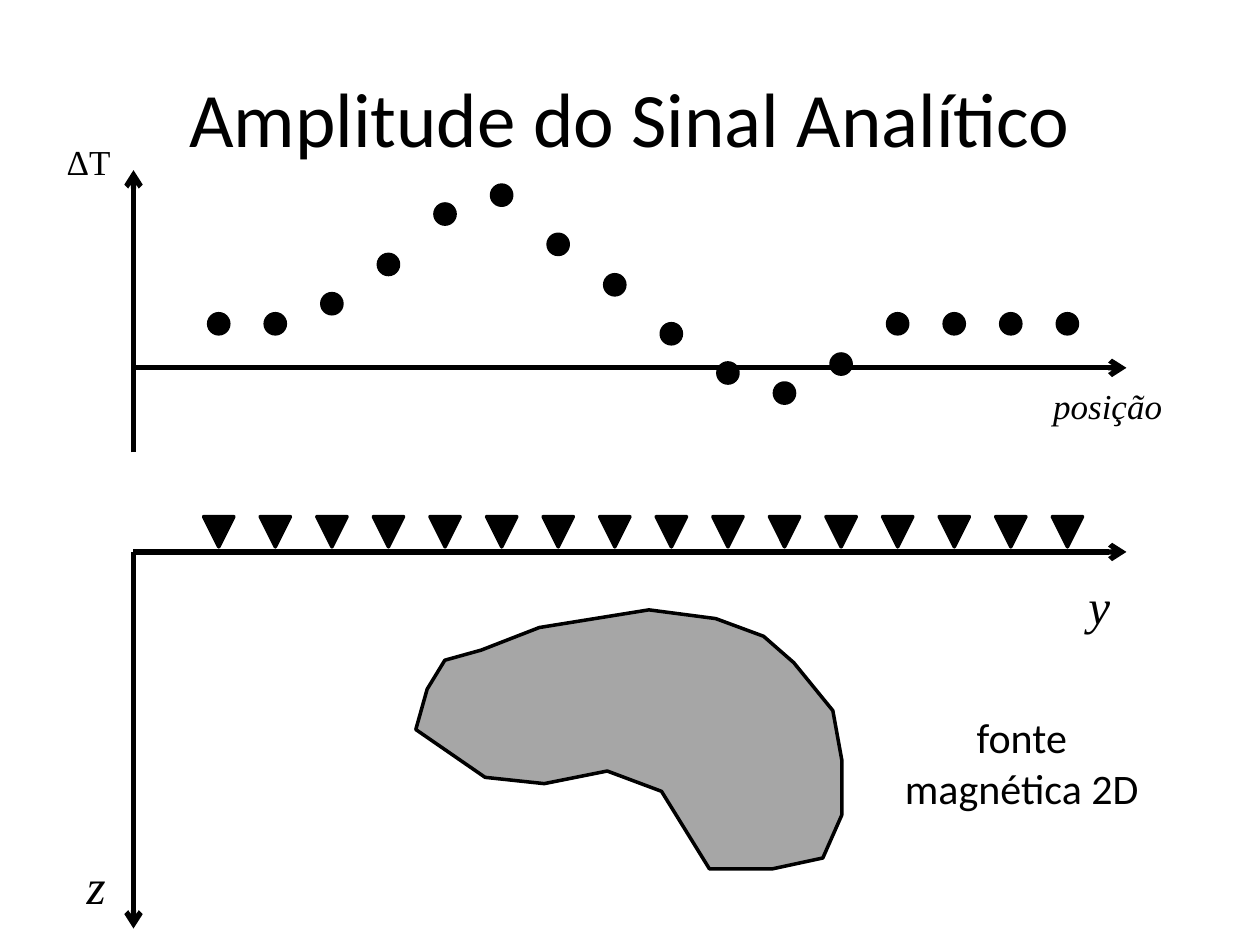
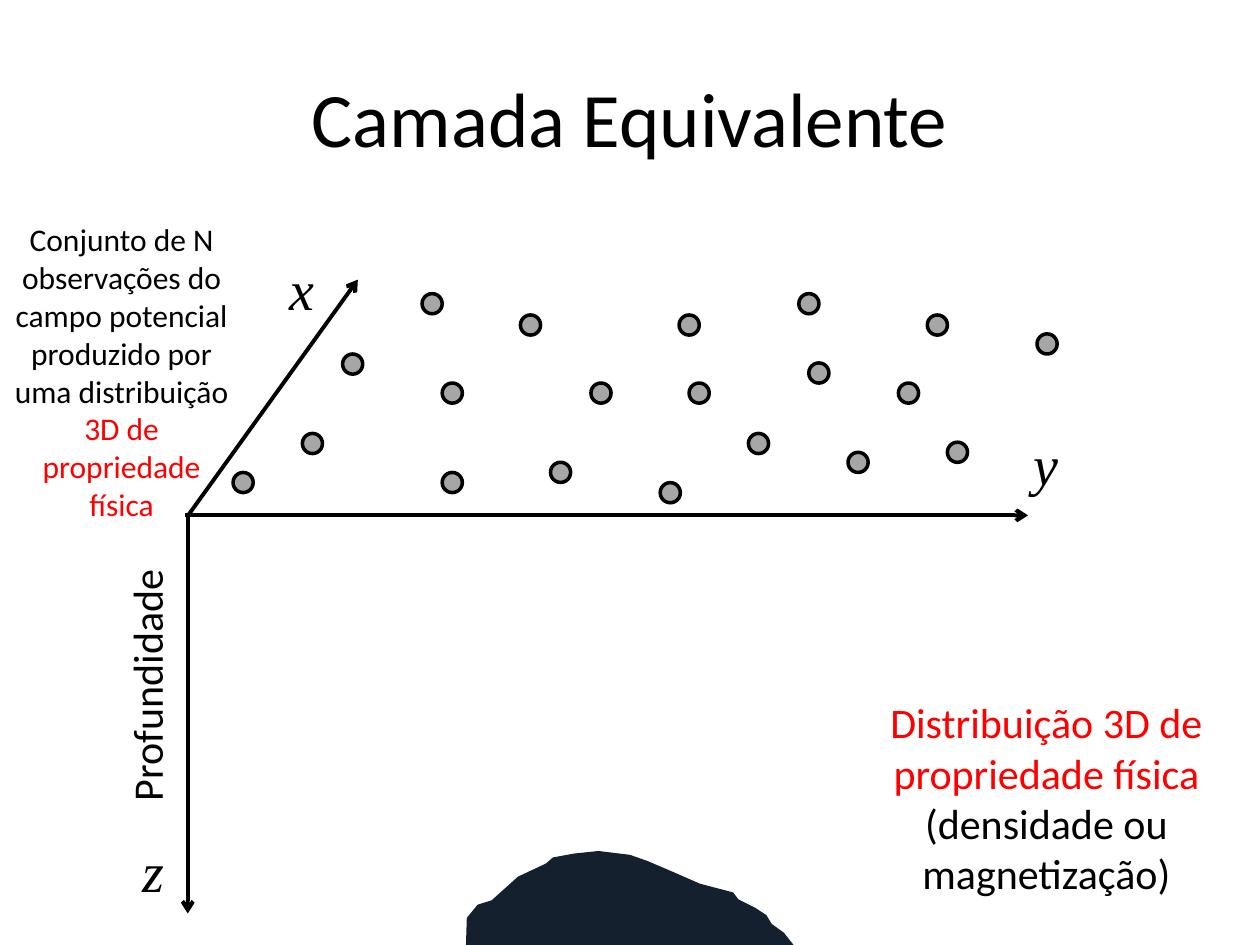
from lxml.etree import SubElement
from pptx import Presentation
from pptx.dml.color import RGBColor
from pptx.enum.shapes import MSO_CONNECTOR, MSO_SHAPE
from pptx.enum.text import MSO_ANCHOR, PP_ALIGN
from pptx.oxml.ns import qn
from pptx.util import Pt

BLACK = RGBColor(0x00, 0x00, 0x00)
GRAY = RGBColor(0xA6, 0xA6, 0xA6)
RED = RGBColor(0xFF, 0x00, 0x00)
NAVY = RGBColor(0x14, 0x20, 0x2E)

SANS = "Calibri"
SERIF = "Times New Roman"
OUTLINE = 2
DOT_SIZE = 11.5
TRIANGLE_SIZE = 17.3

# Stations share one horizontal spacing on the profile and on the ground
FIRST_STATION = 125
STATION_STEP = 32.33
ANOMALY_TOPS = [179.3, 179.3, 167.8, 145.4, 116.6, 105.8, 133.9, 157,
                185, 207.4, 218.9, 202.3, 179.3, 179.3, 179.3, 179.3]

MAGNETIC_SOURCE = [
    (275, 371.5), (308.2, 358.6), (370.8, 348.5), (409, 353.5), (436.3, 363.6),
    (453.6, 378.7), (475.9, 406.1), (481, 434.2), (481, 465.8), (470.2, 490.3),
    (441.4, 496.5), (405.4, 496.5), (378, 452.2), (347, 440.6), (311, 447.8),
    (277.2, 444.2), (237.6, 416.9), (244.1, 393.8), (254.2, 377.3)]

BURIED_BODY = [
    (266.3, 540), (266.8, 524.5), (273, 517), (281, 514.5), (296, 501),
    (312, 493.5), (316, 490), (328, 487.8), (342, 486.3), (360, 488.5),
    (370, 492), (384, 498), (400, 505), (419, 510), (422, 514),
    (432, 519), (438, 523), (441, 528), (448, 533), (453.5, 540)]

OBSERVATIONS = [
    (241.2, 167.8), (297.4, 180), (252.7, 218.9), (195.8, 202.3),
    (172.8, 247.7), (252.7, 270), (337.7, 218.9), (388.1, 180),
    (314.6, 264.2), (393.8, 218.9), (377.3, 275.8), (456.5, 167.8),
    (462.2, 207.4), (427.7, 247.7), (529.9, 180), (513.4, 218.9),
    (484.6, 258.5), (541.4, 252.7), (592.6, 190.8), (133.2, 270)]


def add_text(slide, box, paragraphs, size, font=SANS, italic=False,
             align=PP_ALIGN.CENTER, wrap=True, anchor=MSO_ANCHOR.TOP):
    """Each paragraph is a list of (text, color) runs."""
    shape = slide.shapes.add_textbox(*map(Pt, box))
    frame = shape.text_frame
    frame.word_wrap = wrap
    frame.vertical_anchor = anchor
    for index, runs in enumerate(paragraphs):
        paragraph = frame.add_paragraph() if index else frame.paragraphs[0]
        paragraph.alignment = align
        paragraph.font.name = font
        paragraph.font.size = Pt(size)
        paragraph.font.italic = italic
        for text, color in runs:
            run = paragraph.add_run()
            run.text = text
            run.font.color.rgb = color
    return shape


def add_title(slide, text):
    add_text(slide, (36, 21.6, 648, 90), [[(text, BLACK)]], 44,
             anchor=MSO_ANCHOR.MIDDLE)


def add_axis_label(slide, box, text, size, italic=True, centered=False):
    add_text(slide, box, [[(text, BLACK)]], size, SERIF, italic,
             PP_ALIGN.CENTER if centered else PP_ALIGN.LEFT, wrap=centered)


def add_axis(slide, start, end, width):
    connector = slide.shapes.add_connector(
        MSO_CONNECTOR.STRAIGHT, *map(Pt, (*start, *end)))
    connector.line.color.rgb = BLACK
    connector.line.width = Pt(width)
    SubElement(connector.line._get_or_add_ln(), qn("a:tailEnd"), type="arrow")
    SubElement(connector._element.spPr, qn("a:effectLst"))


def paint(shape, fill, outlined=True):
    shape.shadow.inherit = False
    shape.fill.solid()
    shape.fill.fore_color.rgb = fill
    if outlined:
        shape.line.color.rgb = BLACK
        shape.line.width = Pt(OUTLINE)
    else:
        shape.line.fill.background()


def add_marker(shapes, kind, left, top, size, fill):
    marker = shapes.add_shape(kind, Pt(left), Pt(top), Pt(size), Pt(size))
    paint(marker, fill)
    return marker


def add_outline(slide, points, fill, outlined=True):
    first, *rest = [(Pt(x), Pt(y)) for x, y in points]
    builder = slide.shapes.build_freeform(*first)
    builder.add_line_segments(rest, close=True)
    paint(builder.convert_to_shape(), fill, outlined)


def build_analytic_signal(slide):
    add_title(slide, "Amplitude do Sinal Analítico")

    # Ground section axes
    origin = (76.3, 315.4)
    add_axis(slide, origin, (643.7, 315.4), 3)
    add_axis(slide, origin, (76.3, 530.6), 3)
    add_axis_label(slide, (42.5, 485.3, 25.9, 41), "z", 28)
    add_axis_label(slide, (614.9, 325.4, 27.4, 41), "y", 28)

    # Stations and their anomaly values
    for index, top in enumerate(ANOMALY_TOPS):
        center = FIRST_STATION + index * STATION_STEP
        triangle = add_marker(slide.shapes, MSO_SHAPE.ISOSCELES_TRIANGLE,
                              center - TRIANGLE_SIZE / 2, 295.2,
                              TRIANGLE_SIZE, BLACK)
        triangle.rotation = 180
        add_marker(slide.shapes, MSO_SHAPE.OVAL, center - DOT_SIZE / 2, top,
                   DOT_SIZE, BLACK)

    # Anomaly profile axes
    add_axis(slide, (76.3, 258.5), (76.3, 97.2), 3)
    add_axis(slide, (76.3, 210.2), (643.7, 210.2), 3)
    add_axis_label(slide, (31, 77, 39.6, 31.7), "ΔT", 20, italic=False)
    add_axis_label(slide, (594.7, 216, 77, 31.7), "posição", 20)

    # Magnetic source
    add_outline(slide, MAGNETIC_SOURCE, GRAY)
    add_text(slide, (496.1, 403.2, 175.7, 65.5),
             [[("fonte", BLACK)], [("magnética 2D", BLACK)]], 24)


def build_equivalent_layer(slide):
    add_title(slide, "Camada Equivalente")

    # Coordinate axes
    add_axis(slide, (107.3, 295.2), (107.3, 522), 2.25)
    add_axis(slide, (105.8, 294.5), (587.5, 294.5), 2.25)
    add_axis(slide, (108, 293.8), (204.5, 159.8), 2.25)
    for name, left, top in (("z", 54, 474.5), ("x", 139, 141.8),
                            ("y", 563.8, 241.9)):
        add_axis_label(slide, (left, top, 67.7, 46), name, 32, centered=True)
    depth = add_text(slide, (-4.3, 373.7, 175.7, 36),
                     [[("Profundidade", BLACK)]], 24)
    depth.rotation = 270

    # Buried body and explanations
    add_outline(slide, BURIED_BODY, NAVY, outlined=False)
    add_text(slide, (0, 122.4, 139, 181.4),
             [[("Conjunto de N observações do campo potencial produzido por "
                "uma distribuição ", BLACK),
               ("3D de propriedade física", RED)]], 18)
    add_text(slide, (478.8, 394.6, 238.3, 123.8),
             [[("Distribuição 3D de propriedade física", RED),
               (" (densidade ou magnetização)", BLACK)]], 24)

    # Observation points
    group = slide.shapes.add_group_shape()
    for left, top in OBSERVATIONS:
        add_marker(group.shapes, MSO_SHAPE.OVAL, left, top, DOT_SIZE, GRAY)


def main():
    presentation = Presentation()
    presentation.slide_width = Pt(720)
    presentation.slide_height = Pt(540)
    blank = presentation.slide_layouts[6]
    for build in (build_analytic_signal, build_equivalent_layer):
        build(presentation.slides.add_slide(blank))
    presentation.save("out.pptx")


if __name__ == "__main__":
    main()
